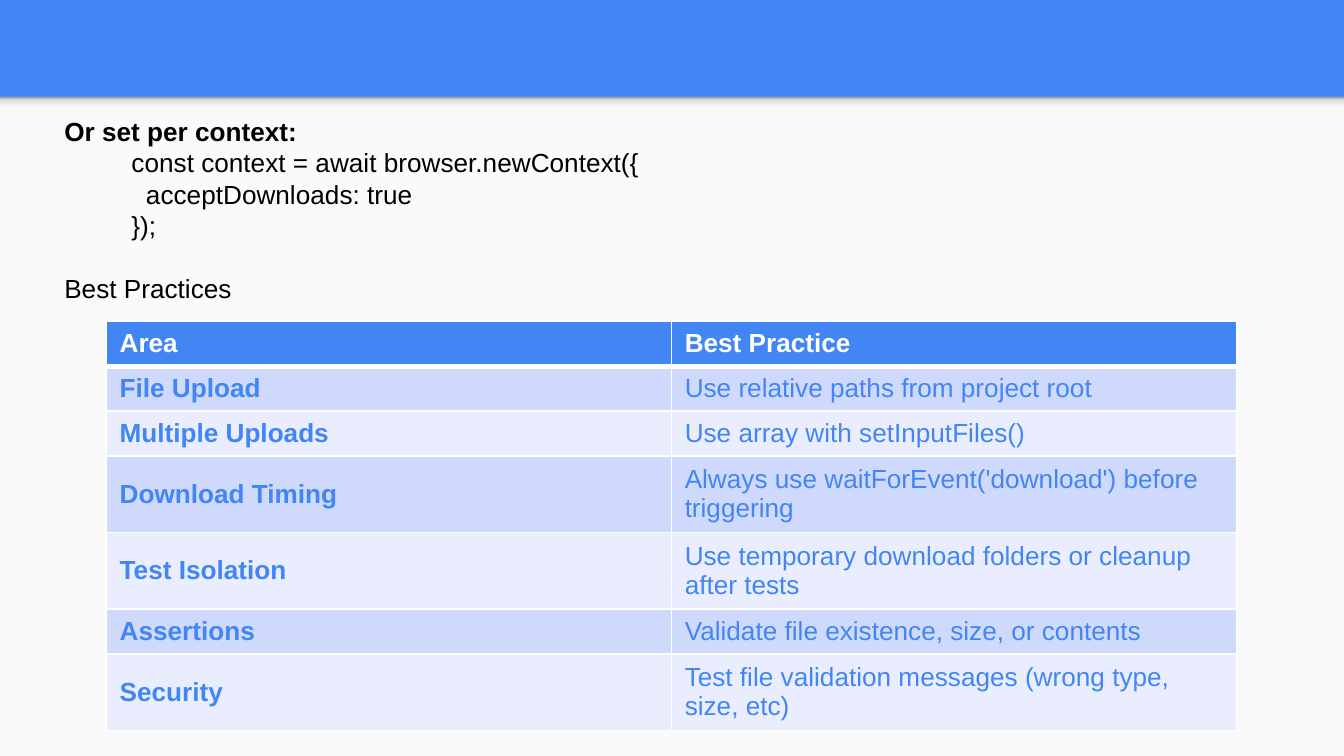
"""Build the slide on download contexts and file handling best practices."""
from lxml.etree import SubElement
from pptx import Presentation
from pptx.dml.color import RGBColor
from pptx.enum.shapes import MSO_SHAPE as Shape
from pptx.enum.text import MSO_ANCHOR as Anchor
from pptx.oxml import parse_xml
from pptx.oxml.ns import qn, nsdecls
from pptx.util import Inches, Pt

BLUE = RGBColor(0x42, 0x85, 0xF4)
PAPER = RGBColor(0xFA, 0xFA, 0xFA)
DARK = RGBColor(0xCF, 0xD9, 0xFB)
LIGHT = RGBColor(0xE9, 0xED, 0xFD)
WHITE = RGBColor(0xFF, 0xFF, 0xFF)
BLACK = RGBColor(0, 0, 0)
FADE = [(0, "F9F9F9"), (36, "F9F9F9"), (80, "DEDEDE"), (100, "999999")]

WIDTH = Inches(10)
HEIGHT = WIDTH * 9 // 16
HEAD = "Or set per context:"
CODE = [
    "const context = await browser.newContext({",
    "  acceptDownloads: true",
    "});",
]
LABEL = "Best Practices"
ROWS = [
    ("Area", "Best Practice", 1),
    ("File Upload", "Use relative paths from project root", 1),
    ("Multiple Uploads", "Use array with setInputFiles()", 1),
    ("Download Timing", "Always use waitForEvent('download') before triggering", 2),
    ("Test Isolation", "Use temporary download folders or cleanup after tests", 2),
    ("Assertions", "Validate file existence, size, or contents", 1),
    ("Security", "Test file validation messages (wrong type, size, etc)", 2),
]
HEIGHTS = {1: 0.33, 2: 0.57}


def style(para, color, bold=False):
    for run in para.runs:
        font = run.font
        font.name, font.size, font.bold = "Arial", Pt(14), bold
        font.color.rgb = color


def add_rect(slide, top, height):
    rect = slide.shapes.add_shape(Shape.RECTANGLE, 0, top, WIDTH, height)
    rect.shadow.inherit = False
    rect.line.fill.background()
    return rect


def fade(shape):
    shape.fill.gradient()
    shape.fill.gradient_angle = 90
    stops = shape.fill._fill._gradFill.find(qn("a:gsLst"))
    for stop in list(stops):
        stops.remove(stop)
    for pos, color in FADE:
        stop = SubElement(stops, qn("a:gs"), pos=str(pos * 1000))
        SubElement(stop, qn("a:srgbClr"), val=color)


def add_edges(cell, top, bottom):
    props = cell._tc.get_or_add_tcPr()
    edges = [("L", 1), ("R", 1), ("T", top), ("B", bottom)]
    for i, (side, width) in enumerate(edges):
        props.insert(i, parse_xml(
            f'<a:ln{side} {nsdecls("a")} w="{Pt(width)}"><a:solidFill>'
            f'<a:srgbClr val="{WHITE}"/></a:solidFill></a:ln{side}>'))


def add_intro(slide):
    box = slide.shapes.add_textbox(
        Inches(0.38), Inches(0.81), Inches(8.35), Inches(1.99))
    frame = box.text_frame
    frame.word_wrap = True
    frame.text = "\n".join([HEAD, *CODE, LABEL])
    for para in frame.paragraphs:
        para.level = int(para.text in CODE)
        style(para, BLACK, para.text == HEAD)
    frame.paragraphs[-1].space_before = Pt(16.8)


def add_grid(slide):
    total = sum(HEIGHTS[lines] for *_, lines in ROWS)
    grid = slide.shapes.add_table(
        len(ROWS), 2, Inches(0.79), Inches(2.39), Inches(8.41), Inches(total)).table
    for r, (*texts, lines) in enumerate(ROWS):
        grid.rows[r].height = Inches(HEIGHTS[lines])
        for c, text in enumerate(texts):
            cell = grid.cell(r, c)
            cell.text = text
            cell.vertical_anchor = Anchor.MIDDLE
            cell.fill.solid()
            cell.fill.fore_color.rgb = BLUE if r == 0 else DARK if r % 2 else LIGHT
            style(cell.text_frame.paragraphs[0],
                  BLUE if r else WHITE, r == 0 or c == 0)
            add_edges(cell, 3 if r == 1 else 1, 3 if r == 0 else 1)


def main():
    deck = Presentation()
    deck.slide_width, deck.slide_height = WIDTH, HEIGHT
    slide = deck.slides.add_slide(deck.slide_layouts[6])
    back = slide.background.fill
    back.solid()
    back.fore_color.rgb = BLUE
    top = Inches(0.72)
    page = add_rect(slide, top, HEIGHT - top)
    page.fill.solid()
    page.fill.fore_color.rgb = PAPER
    fade(add_rect(slide, top, Inches(0.12)))
    add_intro(slide)
    add_grid(slide)
    deck.save("out.pptx")


if __name__ == "__main__":
    main()
